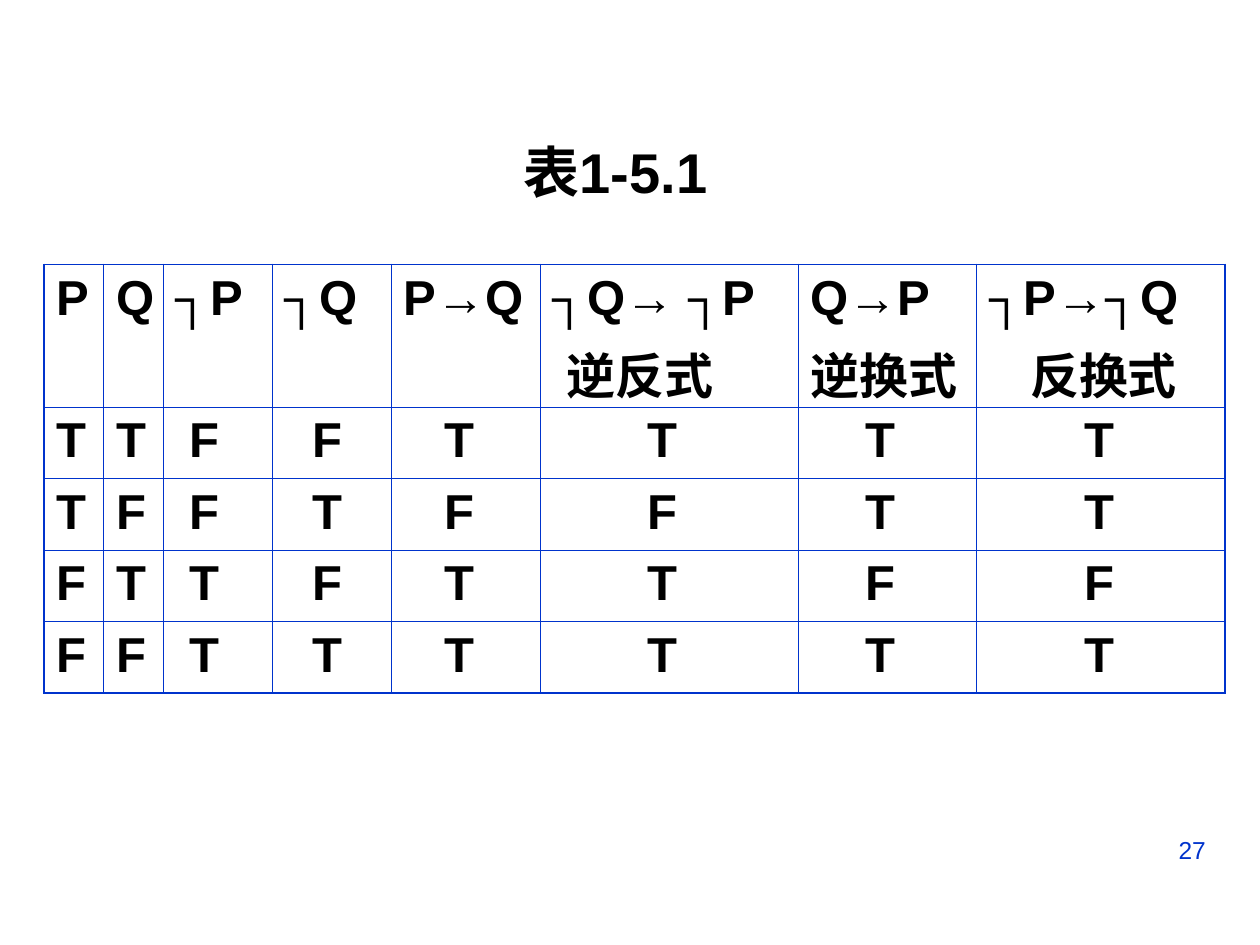
from lxml.etree import SubElement
from pptx import Presentation
from pptx.dml.color import RGBColor
from pptx.enum.text import PP_ALIGN
from pptx.oxml.ns import qn
from pptx.util import Cm, Pt

COLORS = {"text": "000000", "accent": "0033CC"}
FONT = "Arial"
THIN, THICK = 0.45, 1.08
COL_WIDTHS = [1.2, 1.2, 2.2, 2.4, 3.0, 5.2, 3.6, 5.0]
ROW_HEIGHTS = [2.86] + [1.44] * 4
SPACE = 0.274  # width in cm of one space at 28 pt bold
VALUE_INDENTS = [0, 0, 1, 2, 3, 7, 4, 7]
# formula, name of the form, indent of the name in spaces
HEADERS = [
    ("P", "", 0), ("Q", "", 0), ("┐P", "", 0), ("┐Q", "", 0), ("P→Q", "", 0),
    ("┐Q→ ┐P", "逆反式", 1), ("Q→P", "逆换式", 0), ("┐P→┐Q", "反换式", 3),
]
TRUTH_ROWS = ["TTFFTTTT", "TFFTFFTT", "FTTFTTFF", "FFTTTTTT"]


def write(p, text, size, color="text", bold=True, indent=0):
    if indent:
        p._p.get_or_add_pPr().set("marL", str(Cm(indent * SPACE)))
    r = p.add_run()
    r.text = text
    for name, value in {"name": FONT, "size": Pt(size), "bold": bold}.items():
        setattr(r.font, name, value)
    r.font.color.rgb = RGBColor.from_string(COLORS[color])


def add_label(slide, box, text, size, align=PP_ALIGN.LEFT, **style):
    tf = slide.shapes.add_textbox(*map(Cm, box)).text_frame
    tf.word_wrap = True
    p = tf.paragraphs[0]
    p.alignment = align
    write(p, text, size, **style)


def set_borders(cell, widths):
    """Draw the borders; widths maps the sides L, R, T, B to points."""
    tc_pr = cell._tc.get_or_add_tcPr()
    for side, width in widths.items():
        ln = SubElement(tc_pr, qn(f"a:ln{side}"), w=str(Pt(width)))
        fill = SubElement(ln, qn("a:solidFill"))
        SubElement(fill, qn("a:srgbClr"), val=COLORS["accent"])


def add_truth_table(slide, left, top):
    n_rows, n_cols = len(ROW_HEIGHTS), len(COL_WIDTHS)
    size = sum(COL_WIDTHS), sum(ROW_HEIGHTS)
    table = slide.shapes.add_table(n_rows, n_cols, *map(Cm, (left, top, *size))).table
    table.first_row = table.horz_banding = False
    for col, width in zip(table.columns, COL_WIDTHS):
        col.width = Cm(width)
    for row, height in zip(table.rows, ROW_HEIGHTS):
        row.height = Cm(height)

    for i in range(n_rows):
        for j in range(n_cols):
            cell = table.cell(i, j)
            edges = {"L": j == 0, "R": j == n_cols - 1,
                     "T": i == 0, "B": i == n_rows - 1}
            set_borders(cell, {k: THICK if outer else THIN for k, outer in edges.items()})
            cell.fill.background()
            tf = cell.text_frame
            if i:
                write(tf.paragraphs[0], TRUTH_ROWS[i - 1][j], 28, indent=VALUE_INDENTS[j])
                continue
            formula, form, indent = HEADERS[j]
            write(tf.paragraphs[0], formula, 28)
            if form:
                p = tf.add_paragraph()
                p.space_before = Pt(7)
                write(p, form, 28, indent=indent)


def main():
    prs = Presentation()
    prs.slide_width, prs.slide_height = Cm(25.4), Cm(19.05)
    slide = prs.slides.add_slide(prs.slide_layouts[6])
    add_label(slide, (18.21, 16.71, 6.35, 1.32), "27", 14, PP_ALIGN.RIGHT,
              color="accent", bold=False)
    add_truth_table(slide, 0.89, 5.33)
    add_label(slide, (10.31, 2.64, 9.4, 1.63), "表1-5.1", 32)
    prs.save("out.pptx")


if __name__ == "__main__":
    main()
